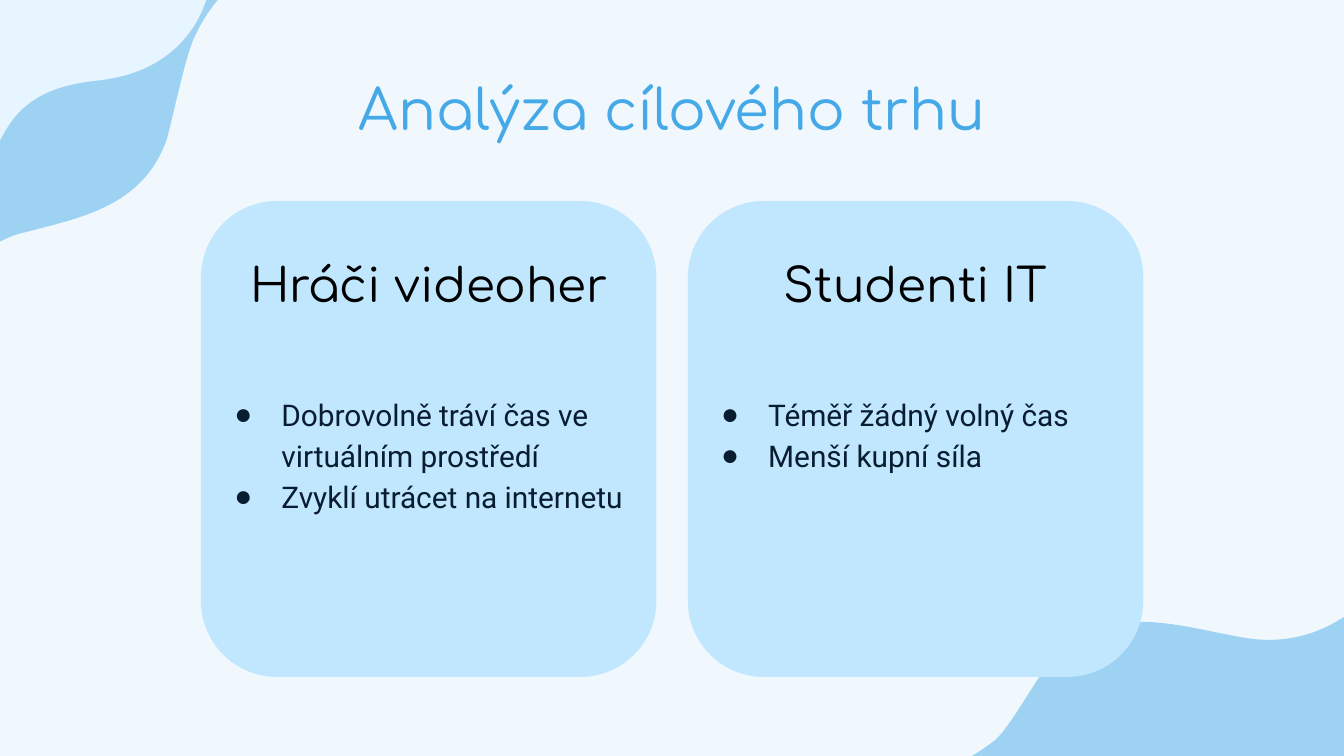
"""Build the slide on target market analysis."""
from lxml.etree import SubElement
from pptx import Presentation
from pptx.dml.color import RGBColor
from pptx.enum.shapes import MSO_SHAPE
from pptx.enum.text import MSO_ANCHOR, MSO_AUTO_SIZE, PP_ALIGN
from pptx.oxml.ns import qn
from pptx.util import Pt

COLORS = {"background": "F0F8FE", "title": "46A9E7", "wave": "9ED2F2",
          "corner": "E6F5FF", "card": "C1E7FF", "heading": "000000",
          "body": "091D31"}

LOWER_WAVE = [
    (514, 408.2),
    (520.6, 405.4, 526.3, 401.8, 532.8, 396.7),
    (543.6, 387.4, 557.3, 357.1, 568.1, 349.9),
    (596.2, 322.6, 631.4, 335.5, 664.6, 341.3),
    (683.3, 344.9, 701.3, 342, 717.8, 331.9),
    (732.2, 323.3, 763.9, 297.4, 794.9, 306.7),
    (773.3, 408.2), (514, 408.2)]
UPPER_WAVE = [
    (157, -45.4),
    (151.2, -32.4, 139.7, -22.3, 129.6, -13),
    (118.1, -2.9, 110.2, 6.5, 103.7, 20.9),
    (98.6, 33.1, 92.2, 64.8, 89.3, 74.9),
    (76.3, 110.9, 43.2, 116.6, 13, 124.6),
    (5.8, 126, -0.7, 129.6, -6.5, 133.2),
    (-6.5, -1.4), (-10.1, -68.4), (159.8, -68.4),
    (161.3, -61.2, 160.6, -52.6, 157, -45.4)]
CORNER = [
    (-67.7, -18), (113.8, -18),
    (112.3, 10.1, 94.3, 38.9, 51.8, 43.2),
    (5, 48.2, 1.4, 71.3, -13.7, 108),
    (-27.4, 142.6, -55.4, 147.6, -67.7, 148.3),
    (-67.7, -18)]

CARD_TOP, CARD_WIDTH, CARD_HEIGHT = 107.7, 244, 255
LEFT_CARD, RIGHT_CARD = 107.7, 368.5
AUDIENCES = [
    (LEFT_CARD, "Hráči videoher", 209,
     ["Dobrovolně tráví čas ve virtuálním prostředí",
      "Zvyklí utrácet na internetu"], 81),
    (RIGHT_CARD, "Studenti IT", 187,
     ["Téměř žádný volný čas", "Menší kupní síla"], 59)]


def rgb(name):
    """Return the named colour of the palette."""
    return RGBColor.from_string(COLORS[name])


def write(frame, lines, *, font, size, color, align=PP_ALIGN.LEFT,
          anchor=MSO_ANCHOR.TOP, spacing=1.0, bullet=None):
    """Fill a text frame with formatted paragraphs."""
    frame.word_wrap = True
    frame.auto_size = MSO_AUTO_SIZE.NONE
    frame.vertical_anchor = anchor
    frame.margin_left = frame.margin_right = Pt(7.2)
    frame.margin_top = frame.margin_bottom = Pt(7.2)
    for index, line in enumerate(lines):
        paragraph = frame.add_paragraph() if index else frame.paragraphs[0]
        paragraph.alignment = align
        paragraph.line_spacing = spacing
        run = paragraph.add_run()
        run.text = line
        run.font.name = font
        run.font.size = Pt(size)
        run.font.color.rgb = rgb(color)
        if bullet:
            properties = paragraph._p.get_or_add_pPr()
            properties.set("marL", str(Pt(36)))
            properties.set("indent", str(Pt(-25.2)))
            bullet_color = SubElement(properties, qn("a:buClr"))
            SubElement(bullet_color, qn("a:srgbClr"), val=COLORS[color])
            SubElement(properties, qn("a:buFont"), typeface="Arial")
            SubElement(properties, qn("a:buChar"), char=bullet)


class Deck:
    """Hold the fonts and the current slide."""

    heading_font = "Comfortaa"
    body_font = "Roboto"

    def __init__(self, presentation):
        """Add a title-only slide with a plain background."""
        self.slide = presentation.slides.add_slide(presentation.slide_layouts[5])
        background = self.slide.background.fill
        background.solid()
        background.fore_color.rgb = rgb("background")

    def paint(self, shape, color):
        """Give a shape a flat fill."""
        shape.shadow.inherit = False
        shape.fill.solid()
        shape.fill.fore_color.rgb = rgb(color)
        shape.line.fill.background()

    def wave(self, segments, color):
        """Draw a decoration whose six-number segments are cubic curves."""
        start, *rest = [(Pt(segment[i]), Pt(segment[i + 1]))
                        for segment in segments for i in range(0, len(segment), 2)]
        builder = self.slide.shapes.build_freeform(*start)
        builder.add_line_segments(rest, close=True)
        wave = builder.convert_to_shape()
        lines = iter(list(wave._element.iter(qn("a:lnTo"))))
        for segment in segments[1:]:
            first, *others = [next(lines) for _ in range(len(segment) // 2)]
            if others:
                first.tag = qn("a:cubicBezTo")
                for line in others:
                    first.append(line[0])
                    line.getparent().remove(line)
        self.paint(wave, color)

    def title(self, wording, left, top, width, height):
        """Place and format the title."""
        title = self.slide.shapes.title
        title.left, title.top = Pt(left), Pt(top)
        title.width, title.height = Pt(width), Pt(height)
        write(title.text_frame, [wording], font=self.heading_font, size=30,
              color="title", align=PP_ALIGN.CENTER, anchor=MSO_ANCHOR.MIDDLE)

    def card(self, left, top, width, height):
        """Draw a rounded card."""
        card = self.slide.shapes.add_shape(
            MSO_SHAPE.ROUNDED_RECTANGLE, Pt(left), Pt(top), Pt(width), Pt(height))
        card.adjustments[0] = 0.167
        self.paint(card, "card")

    def text(self, lines, left, top, width, height, **style):
        """Add a text box."""
        box = self.slide.shapes.add_textbox(Pt(left), Pt(top), Pt(width), Pt(height))
        write(box.text_frame, lines, **style)


def main():
    """Build and save the slide."""
    presentation = Presentation()
    presentation.slide_width, presentation.slide_height = Pt(720), Pt(405)
    deck = Deck(presentation)
    deck.wave(LOWER_WAVE, "wave")
    deck.wave(UPPER_WAVE, "wave")
    deck.wave(CORNER, "corner")
    deck.title("Analýza cílového trhu", 56.6, 35, 607, 45.4)
    for left in (RIGHT_CARD, LEFT_CARD):
        deck.card(left, CARD_TOP, CARD_WIDTH, CARD_HEIGHT)
    for left, audience, width, _, _ in AUDIENCES:
        deck.text([audience], left + (CARD_WIDTH - width) / 2, 129.6, width, 44.6,
                  font=deck.heading_font, size=25, color="heading",
                  align=PP_ALIGN.CENTER)
    for left, _, _, traits, height in AUDIENCES:
        deck.text(traits, left, 202.3, 236, height, font=deck.body_font,
                  size=16, color="body", spacing=1.15, bullet="●")
    presentation.save("out.pptx")


if __name__ == "__main__":
    main()
